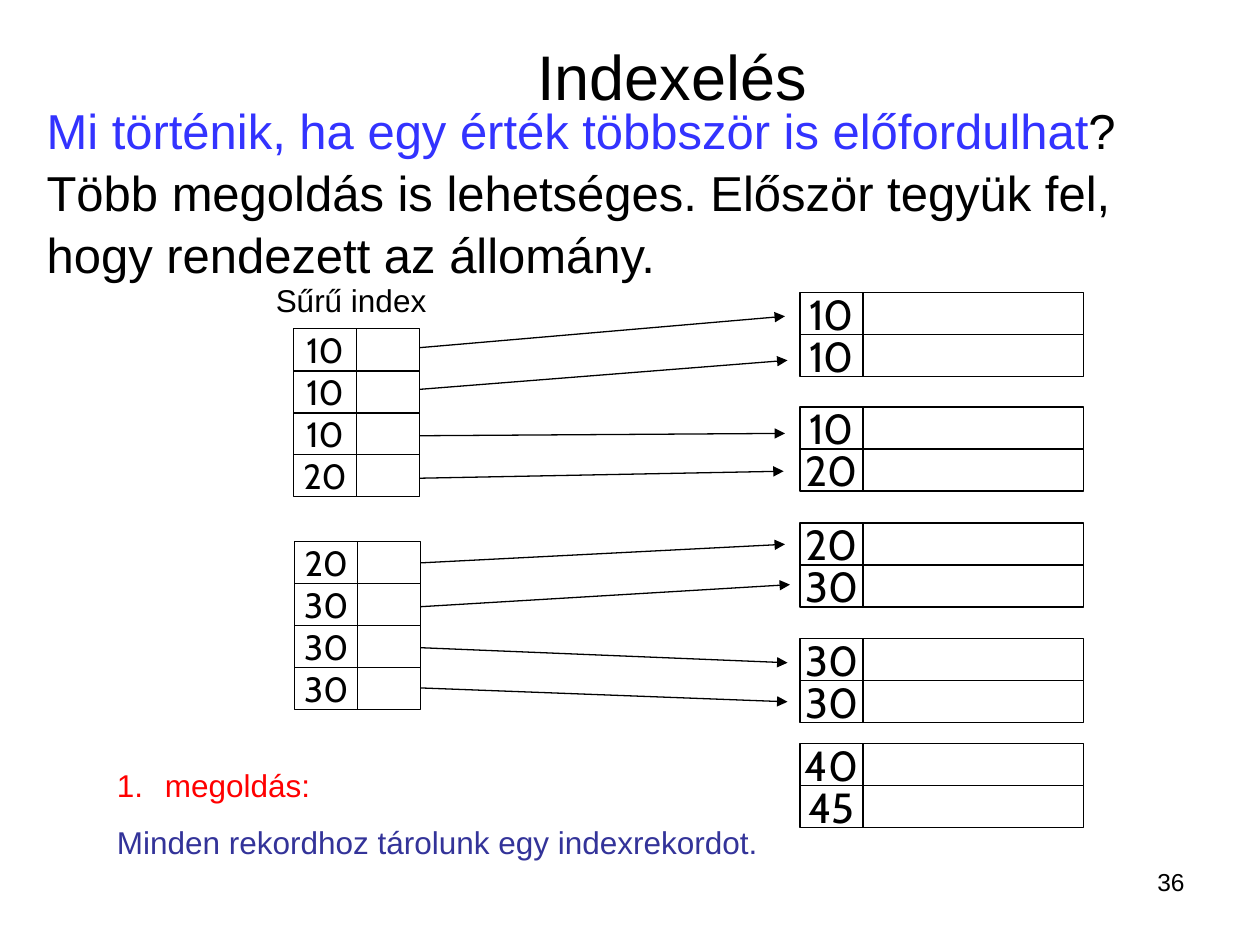
"""Build the slide on a dense index over a sorted file with repeated keys."""
from lxml.etree import SubElement
from pptx import Presentation
from pptx.dml.color import RGBColor
from pptx.enum.shapes import MSO_CONNECTOR, MSO_SHAPE
from pptx.enum.text import MSO_ANCHOR, MSO_AUTO_SIZE, PP_ALIGN
from pptx.oxml.ns import qn
from pptx.util import Inches, Pt

COLORS = {"black": "000000", "white": "FFFFFF", "blue": "3333FF",
          "navy": "333399", "red": "FF0000"}
ROW_HEIGHT = 1 / 3
KEY_WIDTH = 0.5
INDEX_BLOCKS = [(2.33, 2.61, ["10", "10", "10", "20"]),
                (2.34, 4.3, ["20", "30", "30", "30"])]
RECORD_BLOCKS = [(2.32, ["10", "10"]), (3.23, ["10", "20"]), (4.15, ["20", "30"]),
                 (5.07, ["30", "30"]), (5.9, ["40", "45"])]
POINTERS = [(3.09, 2.78, 6.23, 2.51), (3.08, 3.11, 6.25, 2.86),
            (3.08, 3.46, 6.23, 3.44), (3.09, 3.8, 6.22, 3.74),
            (3.09, 4.48, 6.23, 4.32), (3.09, 4.83, 6.27, 4.64),
            (3.08, 5.13, 6.25, 5.26), (3.08, 5.45, 6.25, 5.57)]


def color(name):
    """Return the named colour."""
    return RGBColor.from_string(COLORS[name])


def apply(target, values):
    """Set every attribute given in a dict."""
    for name, value in values.items():
        setattr(target, name, value)


def add_span(para, text, size, color_name="black", font="Arial"):
    """Append one formatted run to a paragraph."""
    span = para.add_run()
    span.text = text
    apply(span.font, {"name": font, "size": Pt(size)})
    span.font.color.rgb = color(color_name)


def add_text(slide, bounds, lines, size, frame_format=None, para_format=None):
    """Add a text box with one paragraph per (text, colour) line."""
    frame = slide.shapes.add_textbox(*map(Inches, bounds)).text_frame
    apply(frame, {"word_wrap": True, **(frame_format or {})})
    paras = [frame.paragraphs[0]] + [frame.add_paragraph() for _ in lines[1:]]
    for para, (text, color_name) in zip(paras, lines):
        apply(para, para_format or {})
        add_span(para, text, size, color_name)
    return paras


def add_cell(shapes, left, top, width, text="", size=20):
    """Add one outlined cell, with a centred key if there is one."""
    cell = shapes.add_shape(MSO_SHAPE.RECTANGLE, Inches(left), Inches(top),
                            Inches(width), Inches(ROW_HEIGHT))
    cell.shadow.inherit = False
    cell.fill.solid()
    cell.fill.fore_color.rgb = color("white")
    cell.line.color.rgb = color("black")
    cell.line.width = Pt(0.75)
    if text:
        apply(cell.text_frame, {"word_wrap": False, "vertical_anchor": MSO_ANCHOR.MIDDLE})
        para = cell.text_frame.paragraphs[0]
        para.alignment = PP_ALIGN.CENTER
        add_span(para, text, size, font="Cabin")


def add_block(slide, left, top, keys, data_width, size):
    """Add a group of rows, each a key cell and an empty cell."""
    shapes = slide.shapes.add_group_shape().shapes
    for row, key in enumerate(keys):
        row_top = top + row * ROW_HEIGHT
        add_cell(shapes, left, row_top, KEY_WIDTH, key, size)
        add_cell(shapes, left + KEY_WIDTH, row_top, data_width)


def add_pointer(slide, points):
    """Add an arrow from an index row to a record."""
    pointer = slide.shapes.add_connector(MSO_CONNECTOR.STRAIGHT, *map(Inches, points))
    pointer.line.color.rgb = color("black")
    pointer.line.width = Pt(0.75)
    SubElement(pointer.line._get_or_add_ln(), qn("a:tailEnd"), type="triangle")
    SubElement(pointer._element.spPr, qn("a:effectLst"))


def number_item(para):
    """Give a paragraph a red automatic number."""
    properties = para._p.get_or_add_pPr()
    bullet_color = SubElement(properties, qn("a:buClr"))
    SubElement(bullet_color, qn("a:srgbClr"), val=COLORS["red"])
    SubElement(properties, qn("a:buFont"), typeface="Arial")
    SubElement(properties, qn("a:buAutoNum"), type="arabicPeriod")


def hang(para, indent):
    """Give a paragraph a hanging indent."""
    properties = para._p.get_or_add_pPr()
    properties.set("marL", str(Inches(indent)))
    properties.set("indent", str(-Inches(indent)))


def fill_title(slide):
    """Place the title and write its question and answer."""
    title = slide.shapes.title
    apply(title, {"left": Inches(0.27), "top": Inches(1),
                  "width": Inches(9.37), "height": Inches(1.02)})
    apply(title.text_frame, {"word_wrap": True, "auto_size": MSO_AUTO_SIZE.NONE,
                             "vertical_anchor": MSO_ANCHOR.MIDDLE})
    para = title.text_frame.paragraphs[0]
    apply(para, {"alignment": PP_ALIGN.LEFT, "line_spacing": 1.05})
    add_span(para, "Mi történik, ha egy érték többször is előfordulhat", 28, "blue")
    add_span(para, "?", 28)
    para.add_line_break()
    add_span(para, "Több megoldás is lehetséges. Először tegyük fel, "
                   "hogy rendezett az állomány.", 28)


def main():
    """Build and save the deck."""
    deck = Presentation()
    apply(deck, {"slide_width": Inches(10), "slide_height": Inches(7.5)})
    slide = deck.slides.add_slide(deck.slide_layouts[5])
    fill_title(slide)
    for points in POINTERS:
        add_pointer(slide, points)
    for top, keys in RECORD_BLOCKS:
        add_block(slide, 6.35, top, keys, 1.75, 24)
    for left, top, keys in INDEX_BLOCKS:
        add_block(slide, left, top, keys, 0.5, 20)
    add_text(slide, (3.5, 0.21, 3.67, 0.77), [("Indexelés", "black")], 36,
             {"vertical_anchor": MSO_ANCHOR.MIDDLE}, {"alignment": PP_ALIGN.CENTER})
    spaced = {"space_before": Pt(11.2)}
    growing = {"auto_size": MSO_AUTO_SIZE.SHAPE_TO_FIT_TEXT}
    solution = add_text(slide, (0.83, 6.03, 5.75, 0.86),
                        [("megoldás:", "red"),
                         ("Minden rekordhoz tárolunk egy indexrekordot.", "navy")],
                        18, growing, spaced)
    for para in solution:
        hang(para, 0.38)
    number_item(solution[0])
    add_text(slide, (2.09, 2.18, 2.05, 0.4), [("Sűrű index", "black")], 18,
             growing, spaced)
    add_text(slide, (7.17, 6.83, 2.33, 0.52), [("36", "black")], 14,
             para_format={"alignment": PP_ALIGN.RIGHT})
    deck.save("out.pptx")


if __name__ == "__main__":
    main()
